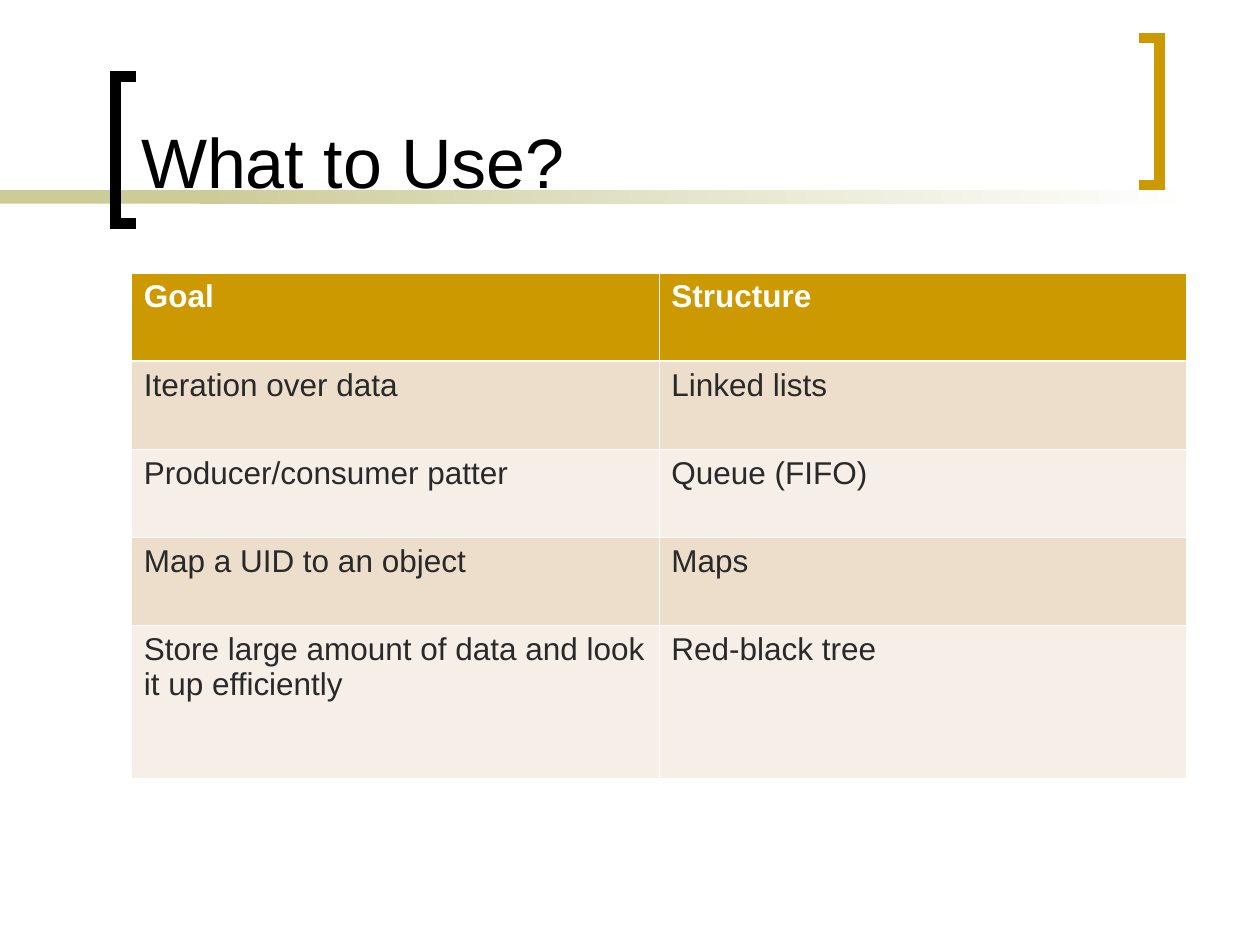
from lxml import etree
from pptx import Presentation
from pptx import util as u
from pptx.dml.color import RGBColor
from pptx.enum import shapes, text
from pptx.oxml.ns import qn

COLORS = {"ink": "000000", "gold": "CC9900", "olive": "CCCC99", "white": "FFFFFF",
          "body": "292929", "odd": "ECDECB", "even": "F6EFE7"}
UNIT = u.Inches(10) / 120
ROWS = [("Goal", "Structure"),
        ("Iteration over data", "Linked lists"),
        ("Producer/consumer patter", "Queue (FIFO)"),
        ("Map a UID to an object", "Maps"),
        ("Store large amount of data and look it up efficiently", "Red-black tree")]
ROW_HEIGHTS = [8.4, 8.4, 8.4, 8.4, 14.5]


def rgb(name):
    return RGBColor.from_string(COLORS[name])


def grid(*values):
    return [u.Emu(round(v * UNIT)) for v in values]


def write(tf, content, color, **fmt):
    p = tf.paragraphs[0]
    r = p.add_run()
    r.text = content
    r.font.color.rgb = rgb(color)
    for key, value in {"name": "Arial", **fmt}.items():
        setattr(r.font, key, value)


def stripe(s, box, fade=False):
    sp = s.shapes.add_shape(shapes.MSO_SHAPE.RECTANGLE, *grid(*box))
    sp.shadow.inherit = False
    sp.line.fill.background()
    if fade:
        sp.fill.gradient()
        sp.fill.gradient_angle = 0
        for stop, name, pos in zip(sp.fill.gradient_stops, ("olive", "white"), (0, 1)):
            stop.color.rgb = rgb(name)
            stop.position = pos
    else:
        sp.fill.solid()
        sp.fill.fore_color.rgb = rgb("olive")


def bracket(s, box, color, opens_right):
    x, y, w, h = box
    tip, spine = (x + w, x) if opens_right else (x, x + w)
    points = [grid(*pt) for pt in ((tip, y), (spine, y), (spine, y + h), (tip, y + h))]
    builder = s.shapes.build_freeform(*points[0])
    builder.add_line_segments(points[1:], close=False)
    sp = builder.convert_to_shape()
    sp.shadow.inherit = False
    sp.fill.background()
    sp.line.color.rgb = rgb(color)
    sp.line.width = u.Pt(6)
    etree.SubElement(sp.line._get_or_add_ln(), qn("a:miter"), lim="800000")


def title(s, box, content):
    tf = s.shapes.add_textbox(*grid(*box)).text_frame
    tf.word_wrap = True
    tf.vertical_anchor = text.MSO_ANCHOR.BOTTOM
    write(tf, content, "ink", size=u.Pt(40))


def cell_borders(cell, widths):
    tc_pr = cell._tc.get_or_add_tcPr()
    for i, (side, width) in enumerate(widths.items()):
        ln = etree.Element(qn(f"a:{side}"), w=str(u.Pt(width)))
        fill = etree.SubElement(ln, qn("a:solidFill"))
        etree.SubElement(fill, qn("a:srgbClr"), val=COLORS["white"])
        tc_pr.insert(i, ln)


def goal_table(s, box):
    table = s.shapes.add_table(len(ROWS), 2, *grid(*box)).table
    for col in table.columns:
        col.width = grid(box[2] / 2)[0]
    for i, (labels, height) in enumerate(zip(ROWS, ROW_HEIGHTS)):
        table.rows[i].height = grid(height)[0]
        head = i == 0
        fill = "gold" if head else "odd" if i % 2 else "even"
        widths = {"lnL": 0.45, "lnR": 0.45,
                  "lnT": 1.47 if i == 1 else 0.45, "lnB": 1.47 if head else 0.45}
        for j, label in enumerate(labels):
            cell = table.cell(i, j)
            cell.fill.solid()
            cell.fill.fore_color.rgb = rgb(fill)
            cell_borders(cell, widths)
            write(cell.text_frame, label, "white" if head else "body",
                  size=u.Pt(18), bold=head)


def main():
    prs = Presentation()
    prs.slide_width, prs.slide_height = grid(120, 90)
    s = prs.slides.add_slide(prs.slide_layouts[6])
    stripe(s, (0, 18.1, 28, 1.3))
    stripe(s, (19, 18.1, 95, 1.3), fade=True)
    bracket(s, (11, 7.3, 2, 14), "ink", opens_right=True)
    bracket(s, (108.5, 3.6, 1.95, 14), "gold", opens_right=False)
    title(s, (12.25, 1.3, 94, 18.6), "What to Use?")
    goal_table(s, (12.5, 26, 100.5, sum(ROW_HEIGHTS)))
    prs.save("out.pptx")


if __name__ == "__main__":
    main()
